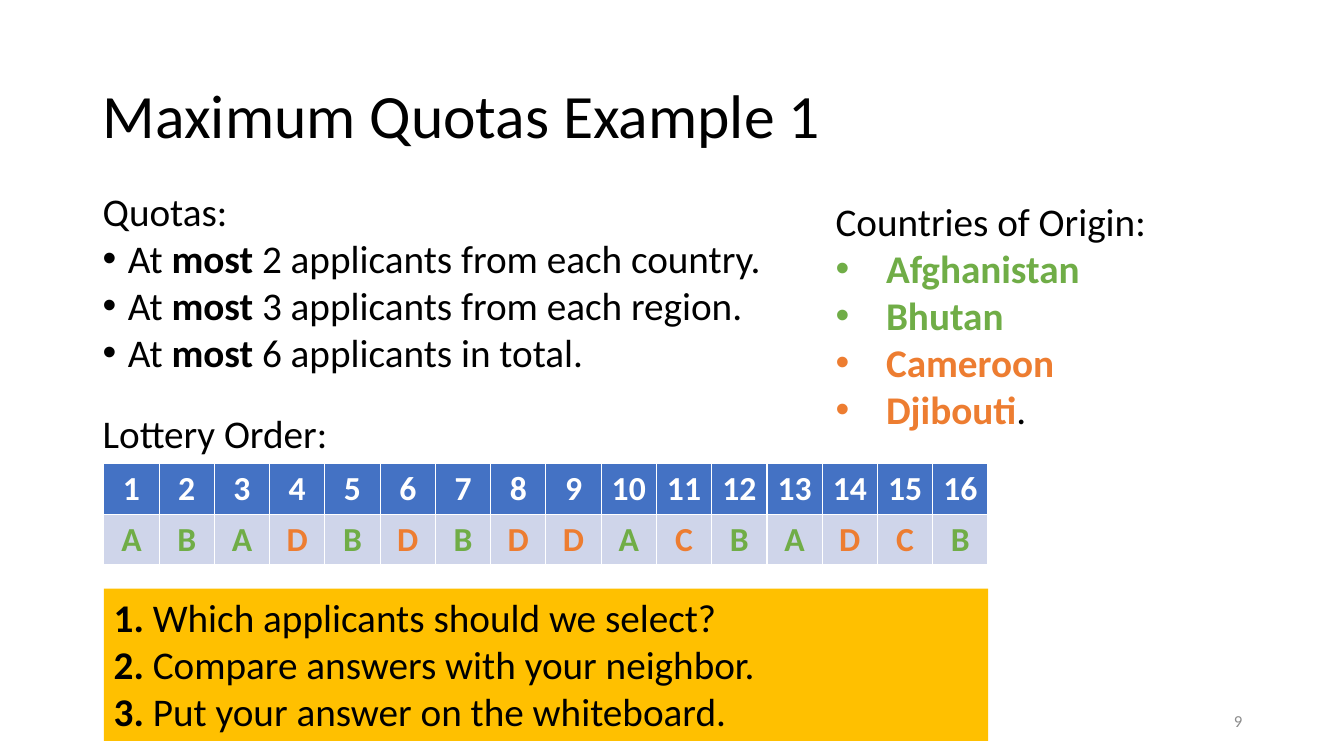
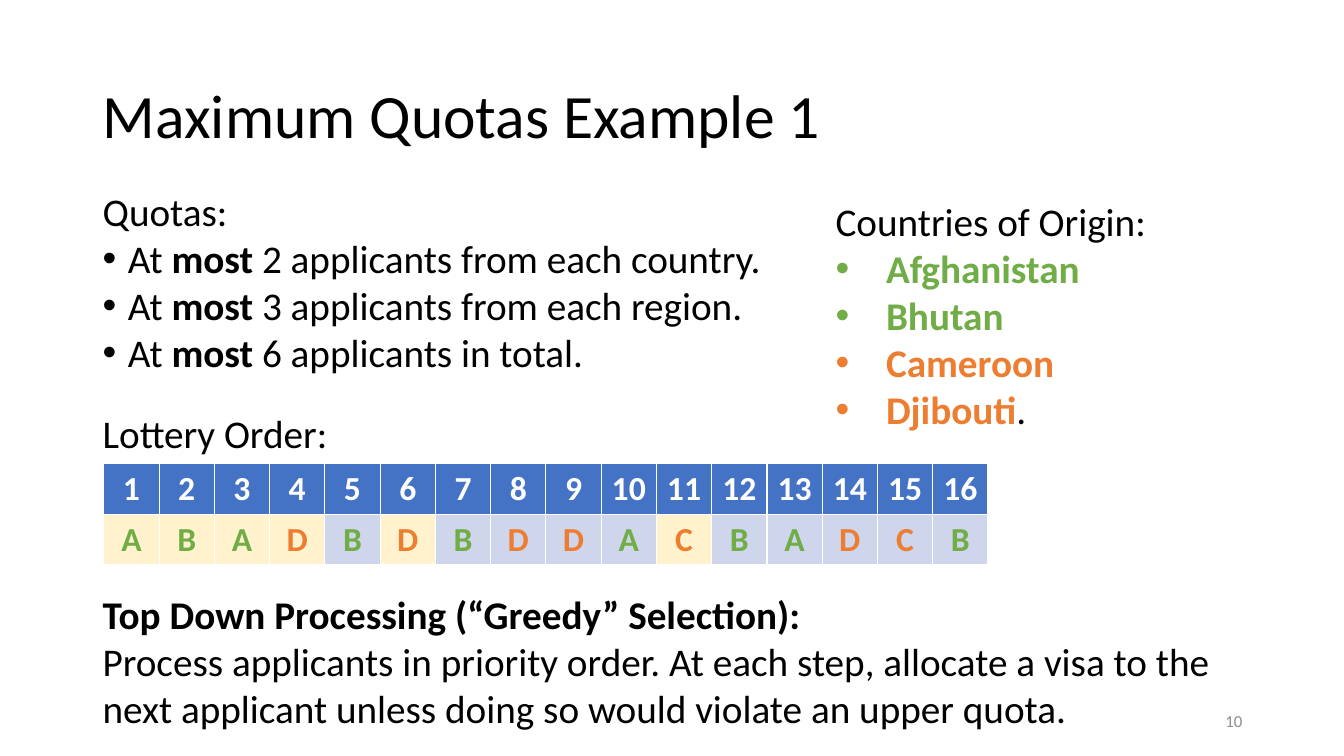
from lxml import etree
from pptx import Presentation
from pptx.dml.color import RGBColor
from pptx.enum import shapes, text
from pptx.oxml import ns
from pptx.util import Inches, Pt

FONT = "Calibri"
BLACK, WHITE, GRAY = "000000", "FFFFFF", "8C8C8C"
GREEN, ORANGE = "70AD47", "ED7D31"
BLUE, PALE_BLUE, PALE_YELLOW, GOLD = "4472C4", "CFD5EA", "FFF2CC", "FFC000"
rgb = RGBColor.from_string

LEFT, TABLE_LEFT, TABLE_WIDTH = 0.92, 1.03, 8.77
LOTTERY = "ABADBDBDDACBADCB"
REGION_COLOR = {"A": GREEN, "B": GREEN, "C": ORANGE, "D": ORANGE}

# A line is a bullet indent in inches (0 for none) and its runs: (text, bold, colour).
QUOTAS = [(0, [("Quotas:", False, BLACK)])]
for limit in ("2 applicants from each country.",
              "3 applicants from each region.",
              "6 applicants in total."):
    QUOTAS.append((0.25, [("At ", False, BLACK), ("most ", True, BLACK), (limit, False, BLACK)]))

COUNTRIES = [(0, [("Countries of Origin:", False, BLACK)])]
for country in ("Afghanistan", "Bhutan", "Cameroon", "Djibouti"):
    COUNTRIES.append((0.5, [(country, True, REGION_COLOR[country[0]])]))
COUNTRIES[-1][1].append((".", False, BLACK))

TASKS = [(0, [(f"{n}. ", True, BLACK), (task, False, BLACK)]) for n, task in enumerate((
    "Which applicants should we select?",
    "Compare answers with your neighbor.",
    "Put your answer on the whiteboard."), 1)]

GREEDY = [
    (0, [("Top Down Processing (“Greedy” Selection):", True, BLACK)]),
    (0, [("Process applicants in priority order. At each step, allocate a visa to the "
          "next applicant unless doing so would violate an upper quota.", False, BLACK)]),
]


def write(tf, lines, size=28, align=text.PP_ALIGN.LEFT, anchor=text.MSO_ANCHOR.TOP):
    """Fill a text frame with lines of formatted runs."""
    tf.word_wrap = True
    tf.vertical_anchor = anchor
    for i, (indent, runs) in enumerate(lines):
        p = tf.add_paragraph() if i else tf.paragraphs[0]
        p.alignment = align
        if indent:
            pPr = p._p.get_or_add_pPr()
            pPr.set("marL", str(Inches(indent)))
            pPr.set("indent", str(-Inches(indent)))
            etree.SubElement(pPr, ns.qn("a:buFont")).set("typeface", "Arial")
            etree.SubElement(pPr, ns.qn("a:buChar")).set("char", "•")
        for words, bold, color in runs:
            r = p.add_run()
            r.text = words
            r.font.name, r.font.size, r.font.bold = FONT, Pt(size), bold
            r.font.color.rgb = rgb(color)


def add_text(s, left, top, width, height, lines, **style):
    box = s.shapes.add_textbox(Inches(left), Inches(top), Inches(width), Inches(height))
    write(box.text_frame, lines, **style)


prs = Presentation()
prs.slide_width, prs.slide_height = Inches(13.33), Inches(7.5)

# Page number and the lottery positions that are selected on that page
for page, selected in ((9, ()), (10, (1, 2, 3, 4, 6, 11))):
    s = prs.slides.add_slide(prs.slide_layouts[6])
    add_text(s, LEFT, 0.4, 11.5, 1.45, [(0, [("Maximum Quotas Example 1", False, BLACK)])],
             size=44, anchor=text.MSO_ANCHOR.MIDDLE)
    add_text(s, 9.42, 6.95, 3, 0.4, [(0, [(str(page), False, GRAY)])],
             size=12, align=text.PP_ALIGN.RIGHT, anchor=text.MSO_ANCHOR.MIDDLE)
    add_text(s, LEFT, 1.81, 7.08, 2, QUOTAS)
    add_text(s, LEFT, 4.01, 7.08, 0.57, [(0, [("Lottery Order:", False, BLACK)])])

    table = s.shapes.add_table(2, len(LOTTERY), Inches(TABLE_LEFT), Inches(4.6),
                               Inches(TABLE_WIDTH), Inches(1)).table
    table.horz_banding = False
    for i, applicant in enumerate(LOTTERY):
        table.columns[i].width = Inches(TABLE_WIDTH / len(LOTTERY))
        fill = PALE_YELLOW if i + 1 in selected else PALE_BLUE
        for row, (words, color, back) in enumerate((
                (str(i + 1), WHITE, BLUE), (applicant, REGION_COLOR[applicant], fill))):
            cell = table.cell(row, i)
            cell.fill.solid()
            cell.fill.fore_color.rgb = rgb(back)
            write(cell.text_frame, [(0, [(words, True, color)])], size=24,
                  align=text.PP_ALIGN.CENTER)

    add_text(s, 8.19, 1.91, 4.5, 2.46, COUNTRIES)

    if selected:
        add_text(s, LEFT, 5.81, 11.5, 1.53, GREEDY)
    else:
        sp = s.shapes.add_shape(shapes.MSO_SHAPE.RECTANGLE, Inches(TABLE_LEFT), Inches(5.84),
                                Inches(TABLE_WIDTH), Inches(1.51))
        sp.shadow.inherit = False
        sp.fill.solid()
        sp.fill.fore_color.rgb = rgb(GOLD)
        sp.line.fill.background()
        write(sp.text_frame, TASKS)

prs.save("out.pptx")
